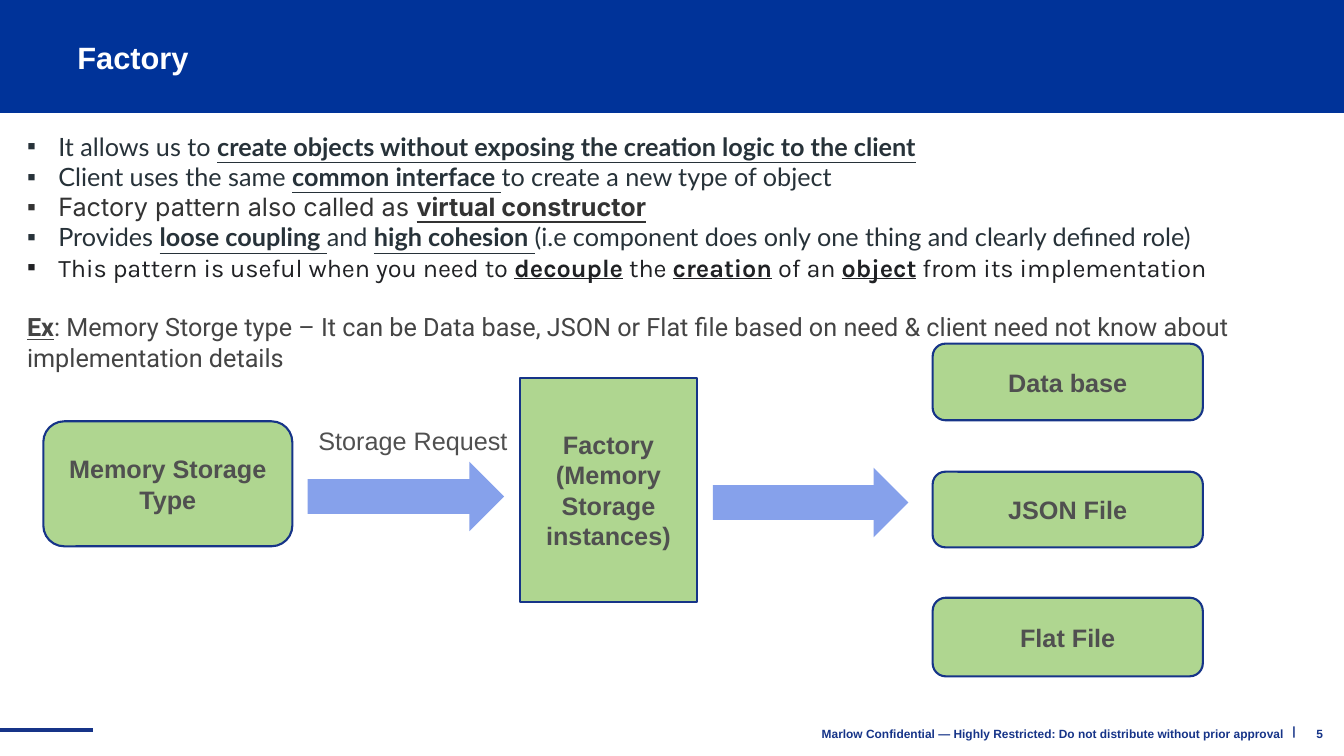
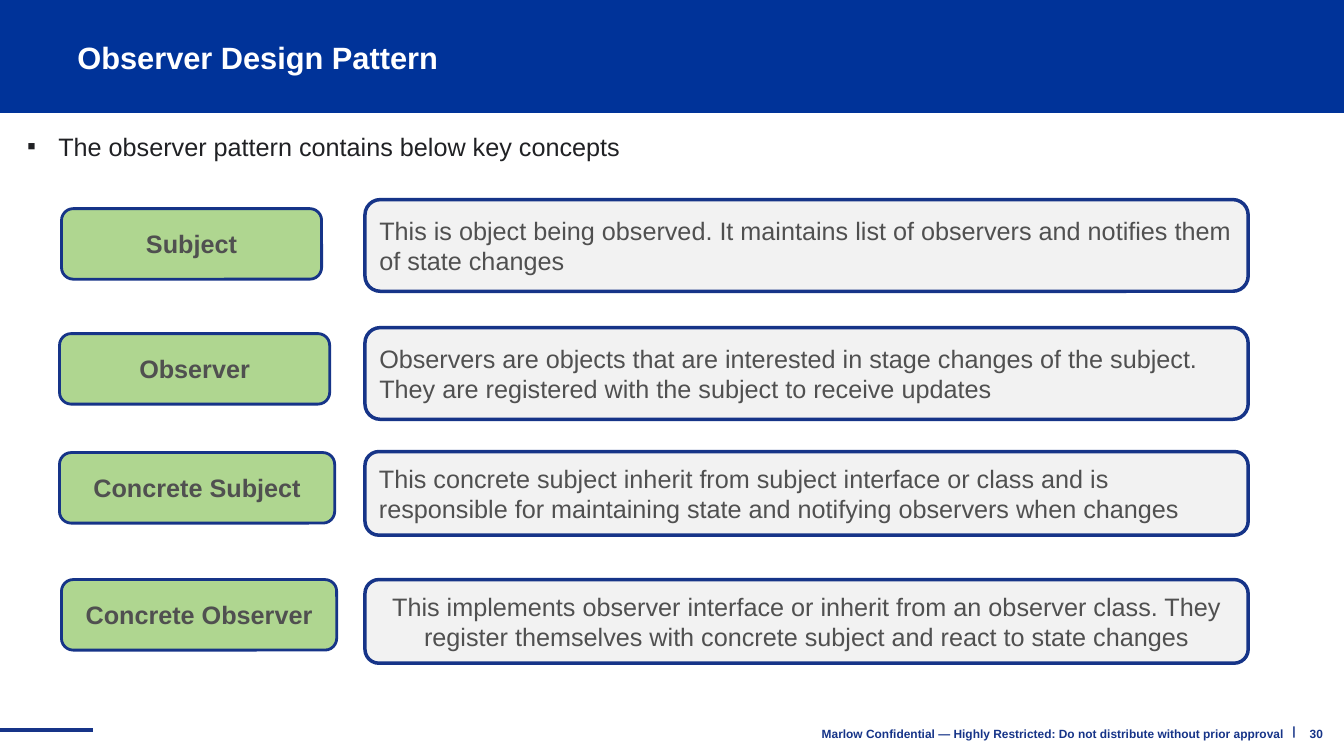
from typing import NamedTuple

from lxml.etree import SubElement
from pptx import Presentation
from pptx.dml.color import RGBColor
from pptx.enum.shapes import MSO_CONNECTOR, MSO_SHAPE
from pptx.enum.text import MSO_ANCHOR, PP_ALIGN
from pptx.oxml.ns import qn
from pptx.slide import Slide
from pptx.text.text import TextFrame
from pptx.util import Inches, Pt

BLUE = RGBColor(0x00, 0x33, 0x99)
NAVY = RGBColor(0x16, 0x34, 0x88)
GREEN = RGBColor(0xAF, 0xD6, 0x90)
PERIWINKLE = RGBColor(0x86, 0xA1, 0xEB)
PALE_GRAY = RGBColor(0xF2, 0xF2, 0xF2)
WHITE = RGBColor(0xFF, 0xFF, 0xFF)
GRAY = RGBColor(0x50, 0x50, 0x50)
SLATE = RGBColor(0x27, 0x32, 0x39)
CHARCOAL = RGBColor(0x33, 0x33, 0x33)
INK = RGBColor(0x20, 0x21, 0x24)
EXAMPLE_GRAY = RGBColor(0x44, 0x44, 0x44)

SLIDE_WIDTH = 13.33
FOOTER = "Marlow Confidential — Highly Restricted: Do not distribute without prior approval"
BULLET_INDENT = Inches(0.31)


class Box(NamedTuple):
    left: float
    top: float
    width: float
    height: float

    def lengths(self) -> list[int]:
        return [Inches(value) for value in self]


class Bullet(NamedTuple):
    text: str
    font: str
    color: RGBColor


class Concept(NamedTuple):
    name: str
    name_box: Box
    description: str
    description_box: Box
    align: PP_ALIGN = PP_ALIGN.LEFT


FACTORY_BULLETS = [
    Bullet("It allows us to *create objects without exposing the creation logic to the client*",
           "Lato", SLATE),
    Bullet("Client uses the same *common interface *to create a new type of object", "Lato", SLATE),
    Bullet("Factory pattern also called as *virtual constructor*", "Inter", CHARCOAL),
    Bullet("Provides *loose coupling *and *high cohesion *"
           "(i.e component does only one thing and clearly defined role)", "Lato", SLATE),
    Bullet("This pattern is useful when you need to *decouple* the *creation* of an *object*"
           " from its implementation", "Karla", INK),
]
EXAMPLE = ("*Ex*: Memory Storge type – It can be Data base, JSON or Flat file based on need"
           " & client need not know about implementation details")

STORAGE_BOXES = {
    "Data base": Box(9.25, 3.41, 2.68, 0.76),
    "JSON File": Box(9.25, 4.68, 2.68, 0.75),
    "Flat File": Box(9.25, 5.93, 2.68, 0.78),
}
ARROWS = [Box(3.05, 4.58, 1.95, 0.69), Box(7.07, 4.64, 1.94, 0.69)]

CONCEPTS = [
    Concept("Subject", Box(0.61, 2.07, 2.58, 0.7),
            "This is object being observed. It maintains list of observers"
            " and notifies them of state changes", Box(3.62, 1.98, 8.76, 0.91)),
    Concept("Observer", Box(0.59, 3.31, 2.68, 0.7),
            "Observers are objects that are interested in stage changes of the subject."
            " They are registered with the subject to receive updates",
            Box(3.62, 3.25, 8.76, 0.91)),
    Concept("Concrete Subject", Box(0.59, 4.49, 2.73, 0.7),
            "This concrete subject inherit from subject interface or class and is responsible"
            " for maintaining state and notifying observers when changes",
            Box(3.62, 4.48, 8.76, 0.83)),
    Concept("Concrete Observer", Box(0.61, 5.75, 2.73, 0.7),
            "This implements observer interface or inherit from an observer class. They register"
            " themselves with concrete subject and react to state changes",
            Box(3.62, 5.75, 8.76, 0.83), PP_ALIGN.CENTER),
]


def write_text(frame: TextFrame, text: str, *, size: float = 18, font: str = "Arial",
               color: RGBColor = GRAY, bold: bool = False, align: PP_ALIGN = PP_ALIGN.LEFT,
               bullet: bool = False, space_before: float = 0, line_spacing: float = 1.0) -> None:
    """Add one paragraph; parts between asterisks become bold and underlined."""
    first = frame.paragraphs[0]
    paragraph = frame.add_paragraph() if first.runs else first
    paragraph.alignment = align
    paragraph.space_before = Pt(space_before)
    paragraph.line_spacing = line_spacing
    for index, part in enumerate(text.split("*")):
        if not part:
            continue
        emphasized = index % 2 == 1
        run = paragraph.add_run()
        run.text = part
        run.font.size = Pt(size)
        run.font.name = font
        run.font.color.rgb = color
        run.font.bold = bold or emphasized
        run.font.underline = emphasized
    if bullet:
        properties = paragraph._p.get_or_add_pPr()
        properties.set("marL", str(BULLET_INDENT))
        properties.set("indent", str(-BULLET_INDENT))
        SubElement(properties, qn("a:buFont")).set("typeface", "Arial")
        SubElement(properties, qn("a:buChar")).set("char", "▪")


def add_text_frame(slide: Slide, box: Box, anchor: MSO_ANCHOR = MSO_ANCHOR.TOP) -> TextFrame:
    frame = slide.shapes.add_textbox(*box.lengths()).text_frame
    frame.word_wrap = True
    frame.vertical_anchor = anchor
    return frame


def add_block(slide: Slide, box: Box, fill: RGBColor, *lines: str,
              kind: MSO_SHAPE = MSO_SHAPE.ROUNDED_RECTANGLE, line_width: float = 0,
              bold: bool = True, align: PP_ALIGN = PP_ALIGN.CENTER) -> None:
    """Add a filled shape with one paragraph per line; width 0 means no outline."""
    shape = slide.shapes.add_shape(kind, *box.lengths())
    shape.shadow.inherit = False
    shape.fill.solid()
    shape.fill.fore_color.rgb = fill
    if line_width:
        shape.line.color.rgb = NAVY
        shape.line.width = Pt(line_width)
    else:
        shape.line.fill.background()
    frame = shape.text_frame
    frame.word_wrap = True
    frame.vertical_anchor = MSO_ANCHOR.MIDDLE
    for line in lines:
        write_text(frame, line, bold=bold, align=align)


def add_framed_slide(presentation: Presentation, title: str, number: int) -> Slide:
    """Add a blank slide with the title band and the footer."""
    slide = presentation.slides.add_slide(presentation.slide_layouts[6])
    add_block(slide, Box(0, 0, SLIDE_WIDTH, 1.12), BLUE, kind=MSO_SHAPE.RECTANGLE)
    write_text(add_text_frame(slide, Box(0.67, 0.28, 12, 0.62), MSO_ANCHOR.MIDDLE), title,
               size=22, color=WHITE, bold=True, line_spacing=0.9)

    rule = slide.shapes.add_connector(MSO_CONNECTOR.STRAIGHT, Inches(0), Inches(7.24),
                                      Inches(0.92), Inches(7.24))
    rule.line.color.rgb = NAVY
    rule.line.width = Pt(3)
    SubElement(rule._element.spPr, qn("a:effectLst"))

    for text, box, align in (
        ("|", Box(12.71, 7.05, 0.25, 0.4), PP_ALIGN.CENTER),
        (FOOTER, Box(6.24, 7.08, 6.59, 0.39), PP_ALIGN.RIGHT),
        (str(number), Box(12.59, 7.08, 0.63, 0.4), PP_ALIGN.RIGHT),
    ):
        write_text(add_text_frame(slide, box, MSO_ANCHOR.MIDDLE), text,
                   size=8.5, color=NAVY, bold=True, align=align)
    return slide


def add_factory_slide(presentation: Presentation) -> None:
    slide = add_framed_slide(presentation, "Factory", 5)
    body = add_text_frame(slide, Box(0.17, 1.25, 12.14, 2.52))
    for bullet in FACTORY_BULLETS:
        write_text(body, bullet.text, font=bullet.font, color=bullet.color, bullet=True)
    write_text(body, EXAMPLE, font="Roboto", color=EXAMPLE_GRAY, space_before=21)

    add_block(slide, Box(5.16, 3.75, 1.75, 2.22), GREEN, "Factory", "(Memory Storage instances)",
              kind=MSO_SHAPE.RECTANGLE, line_width=1.5)
    add_block(slide, Box(0.43, 4.18, 2.47, 1.24), GREEN, "Memory Storage Type", line_width=1.5)
    write_text(add_text_frame(slide, Box(3.06, 4.17, 2.14, 0.4)), "Storage Request")
    for box in ARROWS:
        add_block(slide, box, PERIWINKLE, kind=MSO_SHAPE.RIGHT_ARROW)
    for name, box in STORAGE_BOXES.items():
        add_block(slide, box, GREEN, name, line_width=1.5)


def add_observer_slide(presentation: Presentation) -> None:
    slide = add_framed_slide(presentation, "Observer Design Pattern", 30)
    write_text(add_text_frame(slide, Box(0.17, 1.25, 6.17, 0.4)),
               "The observer pattern contains below key concepts", color=INK, bullet=True)
    for concept in CONCEPTS:
        add_block(slide, concept.name_box, GREEN, concept.name, line_width=2)
        add_block(slide, concept.description_box, PALE_GRAY, concept.description,
                  line_width=2.5, bold=False, align=concept.align)


def main() -> None:
    presentation = Presentation()
    presentation.slide_width = Inches(SLIDE_WIDTH)
    presentation.slide_height = Inches(7.5)
    add_factory_slide(presentation)
    add_observer_slide(presentation)
    presentation.save("out.pptx")


if __name__ == "__main__":
    main()
